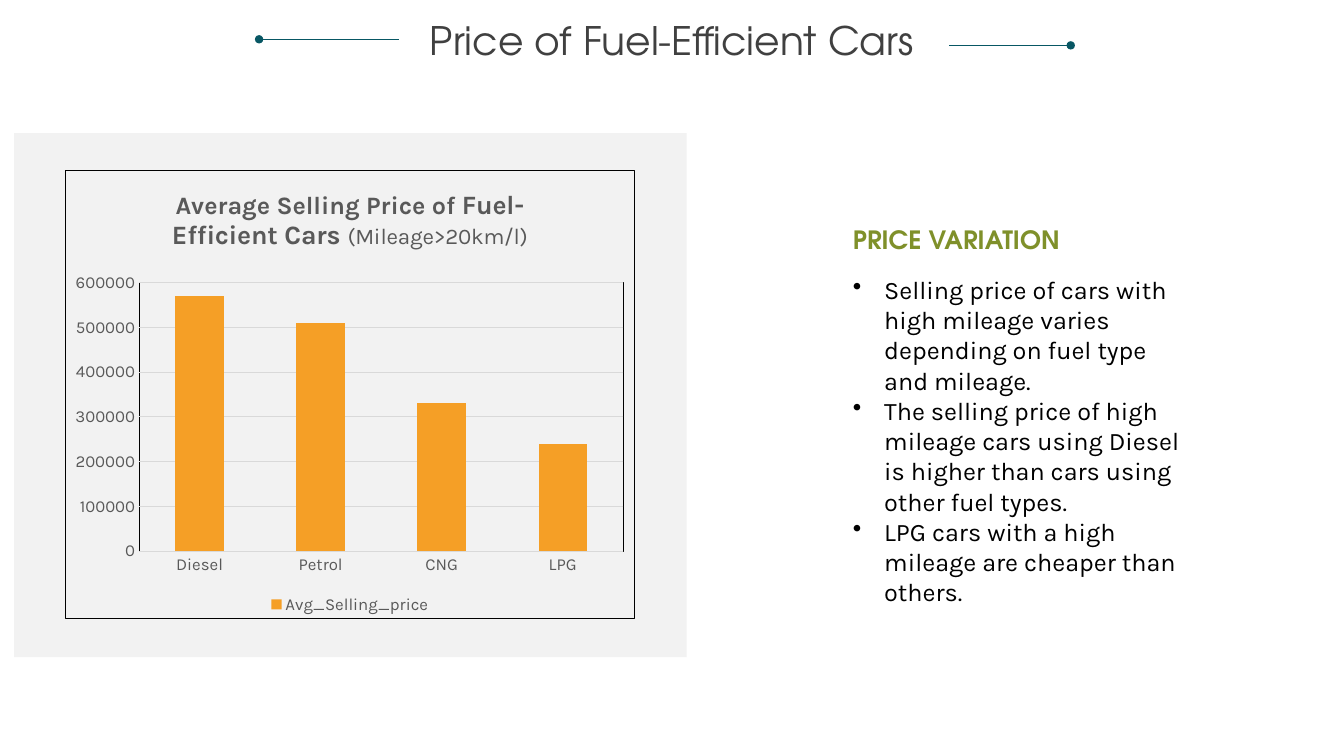
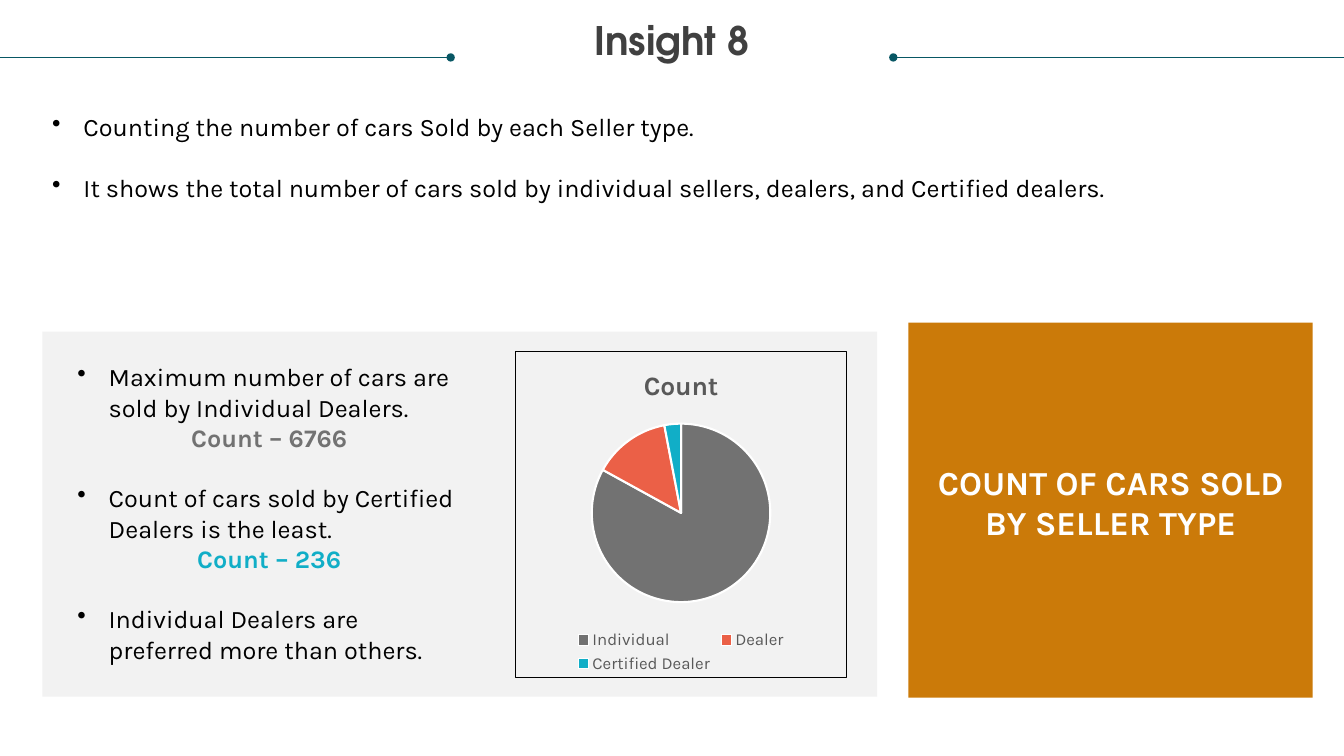
import pptx
import pptx.chart.data
import pptx.dml.color
import pptx.enum.chart
import pptx.enum.shapes
import pptx.enum.text
import pptx.oxml
import pptx.oxml.ns
import pptx.util
from dataclasses import dataclass

Inches, Pt = pptx.util.Inches, pptx.util.Pt
qn = pptx.oxml.ns.qn
ALIGN = pptx.enum.text.PP_ALIGN
ANCHOR = pptx.enum.text.MSO_ANCHOR
CHART_TYPE = pptx.enum.chart.XL_CHART_TYPE


@dataclass(frozen=True)
class Theme:
    heading_font: str = "TeX Gyre Adventor"
    body_font: str = "Karla"
    title: str = "404040"
    text: str = "000000"
    chart_text: str = "595959"
    white: str = "FFFFFF"
    panel: str = "F2F2F2"
    grid: str = "D9D9D9"
    rule: str = "085764"
    olive: str = "7F902A"
    bar: str = "F59F26"
    callout: str = "CB7A09"
    grey: str = "727272"
    red: str = "EB6047"
    cyan: str = "11AEC7"
    title_size: float = 28
    callout_size: float = 24
    chart_title_size: float = 19
    body_size: float = 18
    note_size: float = 16
    label_size: float = 12
    line_gap: float = 21.6


THEME = Theme()
BULLET = {"bullet": True}
NEXT_BULLET = {"bullet": True, "space_before": Pt(THEME.line_gap)}
CENTER = {"alignment": ALIGN.CENTER}

PRICE_POINTS = [
    ("Selling price of cars with high mileage varies depending on fuel type and mileage.", BULLET),
    ("The selling price of high mileage cars using Diesel is higher than cars using other fuel types.", BULLET),
    ("LPG cars with a high mileage are cheaper than others.", BULLET),
]
SELLER_INTRO = [
    ("Counting the number of cars Sold by each Seller type.", BULLET),
    ("It shows the total number of cars sold by individual sellers, dealers, and Certified dealers.", NEXT_BULLET),
]
SELLER_POINTS = [
    ("Maximum number of cars are sold by Individual Dealers.", BULLET),
    ("Count – 6766", {**CENTER, "color": THEME.grey, "bold": True}),
    ("Count of cars sold by Certified Dealers is the least.", NEXT_BULLET),
    ("Count – 236", {**CENTER, "color": THEME.cyan, "bold": True}),
    ("Individual Dealers are preferred more than others.", NEXT_BULLET),
]
CALLOUT_LINES = [("COUNT OF CARS SOLD", CENTER), ("BY SELLER TYPE", CENTER)]

PRICE_CHART = {
    "type": CHART_TYPE.COLUMN_CLUSTERED,
    "box": (0.64, 1.69, 5.66, 4.45),
    "plot": (0.13, 0.25, 0.85, 0.6),
    "series": "Avg_Selling_price",
    "values": {"Diesel": 570000, "Petrol": 510000, "CNG": 330000, "LPG": 240000},
    "title": [
        ("Average Selling Price of ", THEME.body_size, True),
        ("Fuel-Efficient Cars ", THEME.chart_title_size, True),
        ("(Mileage>20km/l)", THEME.note_size, False),
    ],
}
SELLER_CHART = {
    "type": CHART_TYPE.PIE,
    "box": (5.11, 3.48, 3.29, 3.25),
    "plot": (0.23, 0.22, 0.54, 0.55),
    "series": "Series 1",
    "values": {"Individual": 83, "Dealer": 14, "Certified Dealer": 3},
    "title": [("Count", THEME.chart_title_size, True)],
}


def rgb(color):
    return pptx.dml.color.RGBColor.from_string(color)


def set_attributes(target, **values):
    for name, value in values.items():
        setattr(target, name, value)


def set_font(font, color=THEME.text, size=THEME.body_size, name=THEME.body_font, bold=False):
    set_attributes(font, name=name, size=Pt(size), bold=bold)
    font.color.rgb = rgb(color)


def fill_text(frame, paragraphs, insets=(0.1, 0.05, 0.1, 0.05), anchor=ANCHOR.TOP, **font):
    sides = ("margin_left", "margin_top", "margin_right", "margin_bottom")
    set_attributes(frame, word_wrap=True, vertical_anchor=anchor,
                   **dict(zip(sides, map(Inches, insets))))
    for index, (text, options) in enumerate(paragraphs):
        paragraph = frame.paragraphs[0] if index == 0 else frame.add_paragraph()
        layout, own_font = {}, dict(font)
        for key, value in options.items():
            (own_font if key in ("color", "bold") else layout)[key] = value
        bullet = layout.pop("bullet", False)
        set_attributes(paragraph, **layout)
        if bullet:
            properties = paragraph._p.get_or_add_pPr()
            properties.set("marL", str(Inches(0.31)))
            properties.set("indent", str(-Inches(0.31)))
            properties.append(pptx.oxml.parse_xml(
                f'<a:buChar {pptx.oxml.ns.nsdecls("a")} char="•"/>'))
        run = paragraph.add_run()
        run.text = text
        set_font(run.font, **own_font)


def add_text(slide, box, paragraphs, **style):
    shape = slide.shapes.add_textbox(*map(Inches, box))
    fill_text(shape.text_frame, paragraphs, **style)


def add_panel(slide, box, color):
    shape = slide.shapes.add_shape(
        pptx.enum.shapes.MSO_SHAPE.RECTANGLE, *map(Inches, box))
    shape.shadow.inherit = False
    shape.fill.solid()
    shape.fill.fore_color.rgb = rgb(color)
    shape.line.fill.background()
    return shape


def add_title_rule(slide, dot_x, end_x, y):
    """Draw a thin horizontal rule with a round dot at dot_x."""
    connector = slide.shapes.add_connector(
        pptx.enum.shapes.MSO_CONNECTOR.STRAIGHT,
        Inches(dot_x), Inches(y), Inches(end_x), Inches(y))
    connector.line.width = Pt(0.5)
    connector.line.color.rgb = rgb(THEME.rule)
    namespace = pptx.oxml.ns.nsdecls("a")
    connector.line._get_or_add_ln().append(
        pptx.oxml.parse_xml(f'<a:headEnd {namespace} type="oval"/>'))
    connector._element.spPr.append(pptx.oxml.parse_xml(f"<a:effectLst {namespace}/>"))


def add_titled_slide(presentation, title, rules, bold=False):
    slide = presentation.slides.add_slide(presentation.slide_layouts[6])
    for rule in rules:
        add_title_rule(slide, *rule)
    add_text(slide, (0.25, 0.21, 12.83, 0.42), [(title, {**CENTER, "line_spacing": 0.9})],
             insets=(0, 0, 0, 0), name=THEME.heading_font,
             size=THEME.title_size, color=THEME.title, bold=bold)
    return slide


def outline_xml():
    return pptx.oxml.parse_xml(
        f'<c:spPr {pptx.oxml.ns.nsdecls("c", "a")}><a:noFill/><a:ln w="{Pt(0.75)}">'
        f'<a:solidFill><a:srgbClr val="{THEME.text}"/></a:solidFill></a:ln></c:spPr>')


def place_plot(chart, fractions):
    """Fix the inner plot area as left, top, width and height fractions."""
    area = chart._chartSpace.chart.plotArea
    for layout in area.findall(qn("c:layout")):
        area.remove(layout)
    sizes = "".join(f'<c:{tag} val="{value}"/>' for tag, value in zip("xywh", fractions))
    area.insert(0, pptx.oxml.parse_xml(
        f'<c:layout {pptx.oxml.ns.nsdecls("c")}><c:manualLayout>'
        '<c:layoutTarget val="inner"/><c:xMode val="edge"/><c:yMode val="edge"/>'
        f"{sizes}</c:manualLayout></c:layout>"))
    return area


def add_framed_chart(slide, content):
    data = pptx.chart.data.CategoryChartData()
    data.categories = list(content["values"])
    data.add_series(content["series"], list(content["values"].values()))
    chart = slide.shapes.add_chart(
        content["type"], *map(Inches, content["box"]), data).chart
    set_font(chart.font, size=10)
    chart._chartSpace.chart.addnext(outline_xml())
    chart.has_title = True
    paragraph = chart.chart_title.text_frame.paragraphs[0]
    for text, size, bold in content["title"]:
        run = paragraph.add_run()
        run.text = text
        set_font(run.font, THEME.chart_text, size, bold=bold)
    chart.has_legend = True
    set_attributes(chart.legend, include_in_layout=False,
                   position=pptx.enum.chart.XL_LEGEND_POSITION.BOTTOM)
    set_font(chart.legend.font, THEME.chart_text, THEME.label_size)
    place_plot(chart, content["plot"])
    return chart


def style_columns(chart):
    plot = chart.plots[0]
    set_attributes(plot, gap_width=150, vary_by_categories=False)
    fill = plot.series[0].format.fill
    fill.solid()
    fill.fore_color.rgb = rgb(THEME.bar)
    for axis in (chart.category_axis, chart.value_axis):
        axis.major_tick_mark = pptx.enum.chart.XL_TICK_MARK.NONE
        set_font(axis.tick_labels.font, THEME.chart_text, THEME.label_size)
    chart.value_axis.format.line.fill.background()
    set_attributes(chart.value_axis, minimum_scale=0, maximum_scale=600000, major_unit=100000)
    for line in (chart.category_axis.format.line, chart.value_axis.major_gridlines.format.line):
        line.color.rgb = rgb(THEME.grid)
        line.width = Pt(0.75)
    chart._chartSpace.chart.plotArea.append(outline_xml())


def style_slices(chart, colors):
    chart.plots[0].vary_by_categories = True
    for index, color in enumerate(colors):
        slice_format = chart.plots[0].series[0].points[index].format
        slice_format.fill.solid()
        slice_format.fill.fore_color.rgb = rgb(color)
        slice_format.line.color.rgb = rgb(THEME.white)
        slice_format.line.width = Pt(1.5)


def build_price_slide(presentation):
    slide = add_titled_slide(presentation, "Price of Fuel-Efficient Cars",
                             [(2.57, 3.96, 0.39), (10.62, 9.41, 0.45)])
    add_panel(slide, (0.14, 1.32, 6.67, 5.2), THEME.panel)
    style_columns(add_framed_chart(slide, PRICE_CHART))
    add_text(slide, (8.46, 2.26, 3.38, 0.27),
             [("PRICE VARIATION", {"line_spacing": Pt(19)})], insets=(0, 0, 0, 0),
             name=THEME.heading_font, color=THEME.olive, bold=True)
    add_text(slide, (8.46, 2.72, 3.38, 3.03), PRICE_POINTS, insets=(0, 0, 0, 0))


def build_seller_slide(presentation):
    slide = add_titled_slide(presentation, "Insight 8",
                             [(4.47, 0, 0.57), (8.86, 13.33, 0.57)], bold=True)
    add_text(slide, (0.42, 1.06, 12.66, 1), SELLER_INTRO)
    add_panel(slide, (0.42, 3.29, 8.28, 3.62), THEME.panel)
    style_slices(add_framed_chart(slide, SELLER_CHART), (THEME.grey, THEME.red, THEME.cyan))
    add_text(slide, (0.67, 3.54, 4, 3.13), SELLER_POINTS)
    callout = add_panel(slide, (9.01, 3.2, 4.01, 3.72), THEME.callout)
    fill_text(callout.text_frame, CALLOUT_LINES, insets=(0.1, 0.05, 0.1, 0.21),
              anchor=ANCHOR.MIDDLE, size=THEME.callout_size, color=THEME.white, bold=True)


def main():
    presentation = pptx.Presentation()
    set_attributes(presentation, slide_width=Inches(13.33), slide_height=Inches(7.5))
    build_price_slide(presentation)
    build_seller_slide(presentation)
    presentation.save("out.pptx")


if __name__ == "__main__":
    main()
